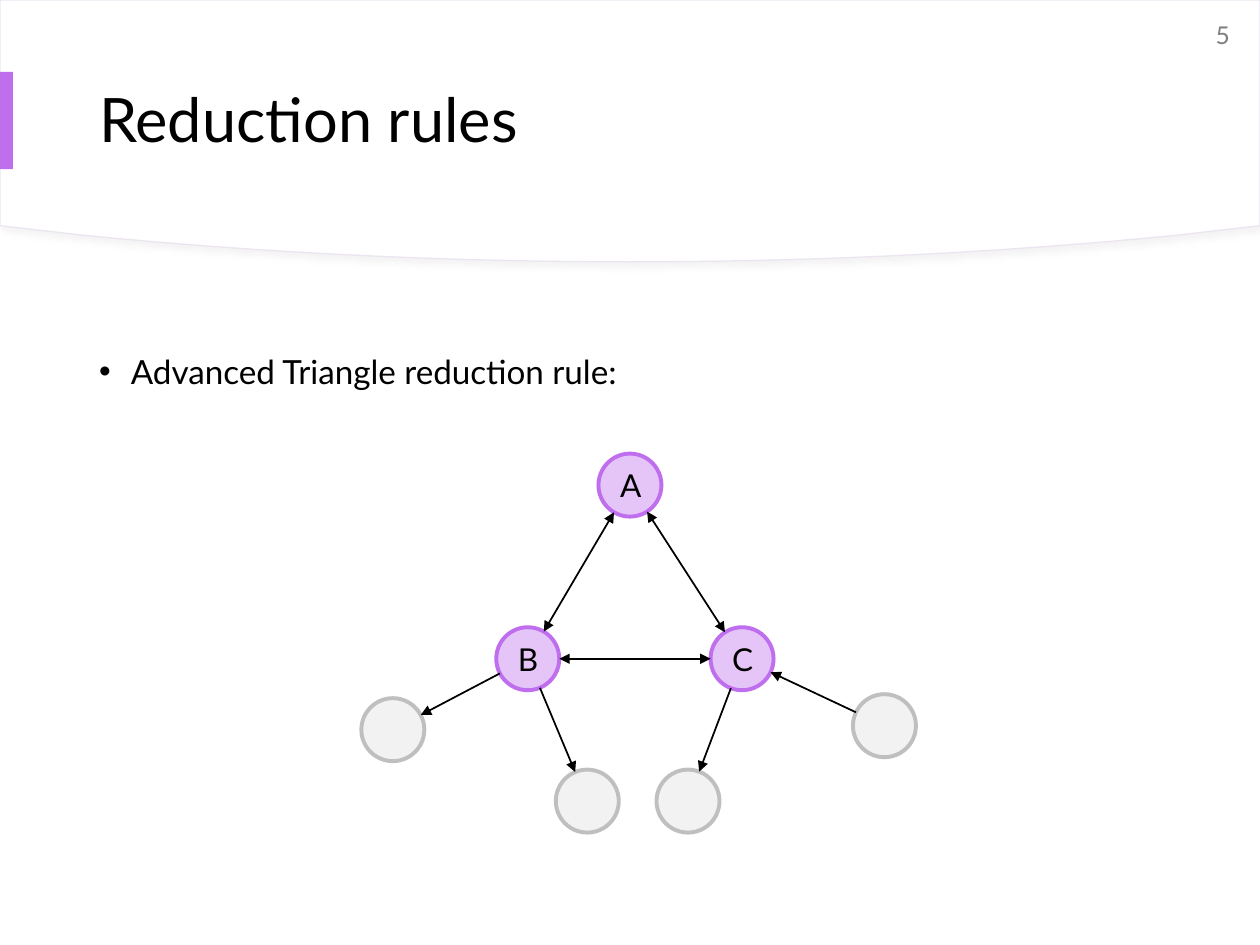
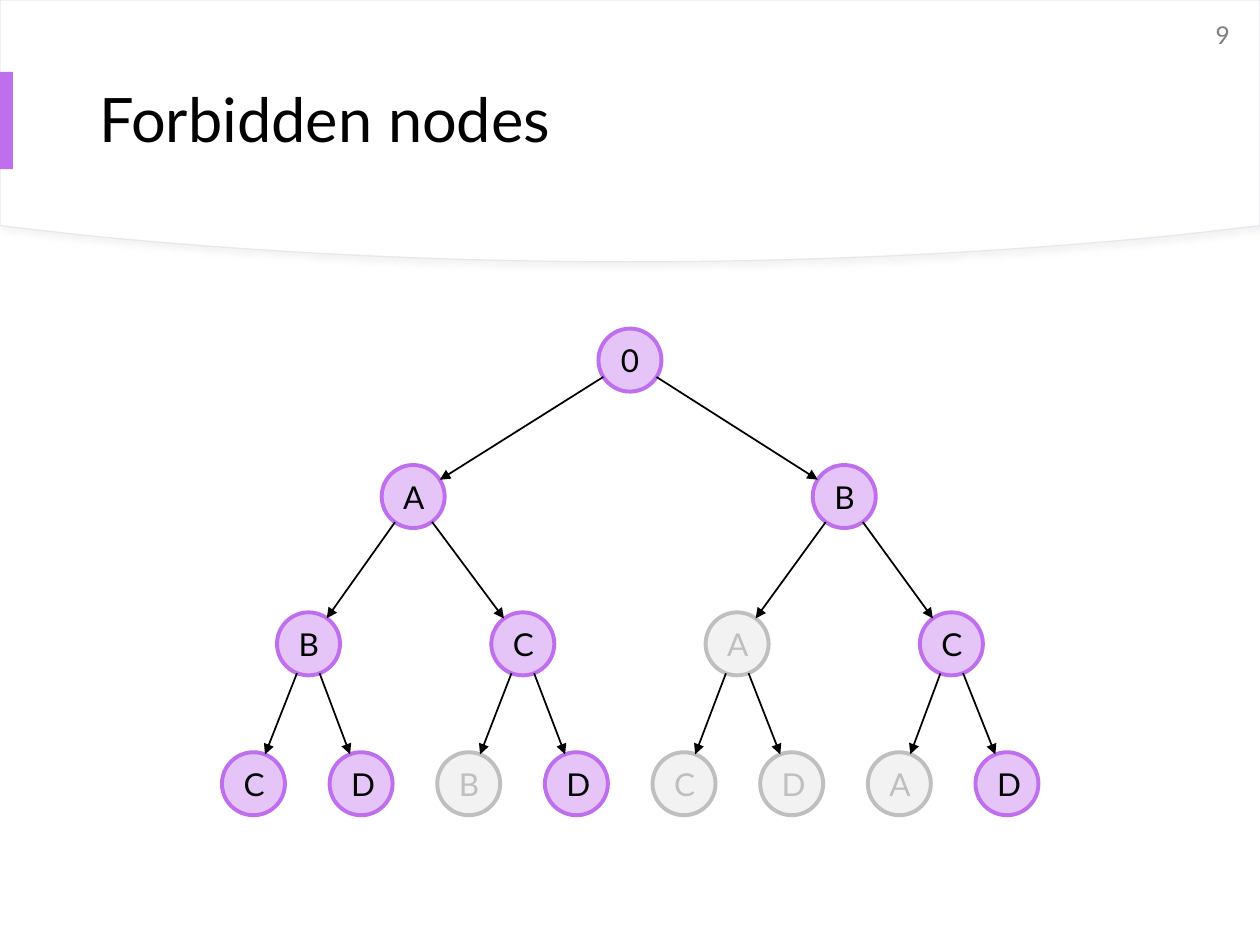
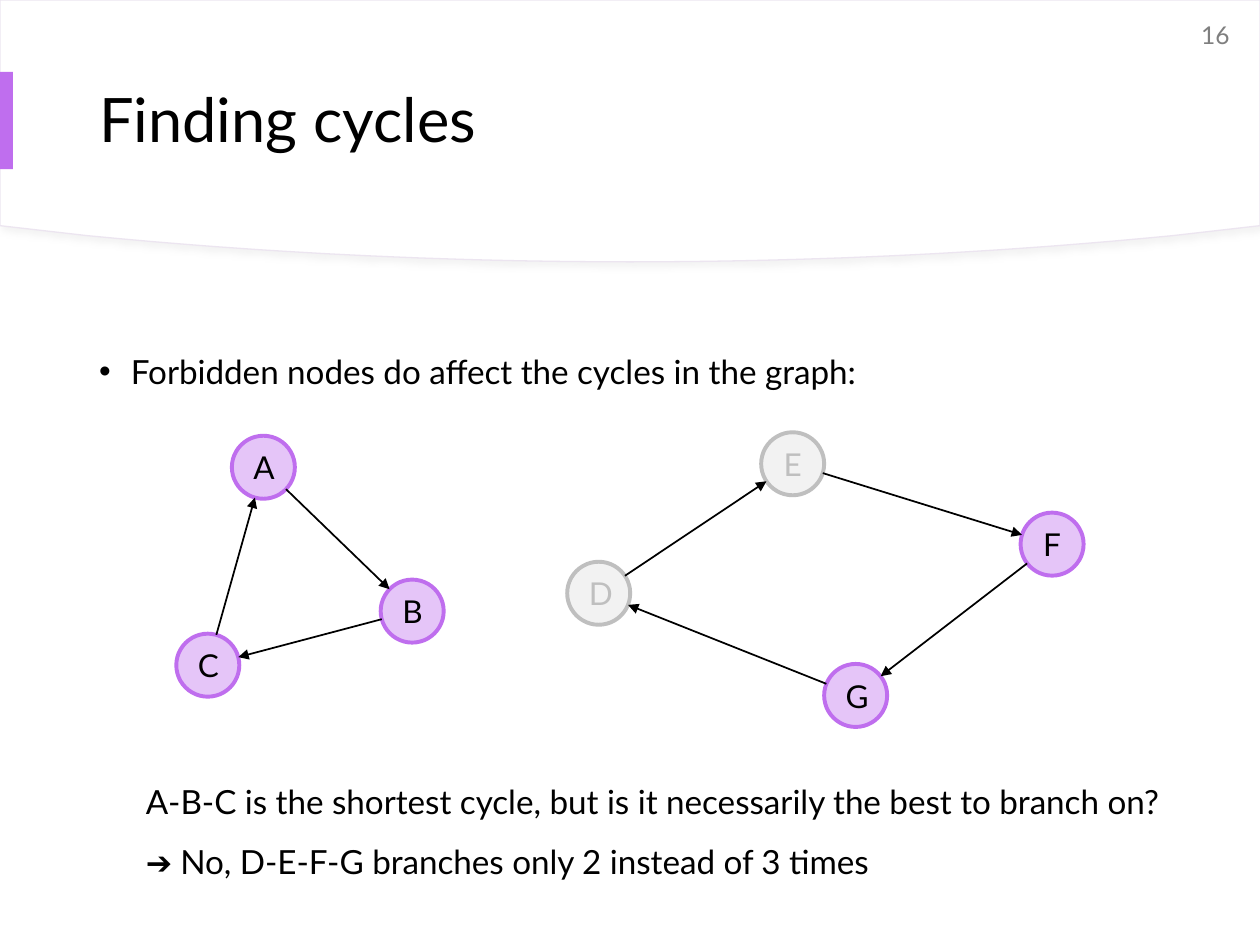
from dataclasses import dataclass
from math import hypot

from lxml import etree
from pptx import Presentation
from pptx.dml.color import RGBColor
from pptx.enum.shapes import MSO_CONNECTOR, MSO_SHAPE
from pptx.enum.text import MSO_ANCHOR, PP_ALIGN
from pptx.oxml.ns import qn
from pptx.util import Cm, Pt

ELLIPSE, RECTANGLE = MSO_SHAPE.OVAL, MSO_SHAPE.RECTANGLE
STRAIGHT = MSO_CONNECTOR.STRAIGHT
TOP, MIDDLE = MSO_ANCHOR.TOP, MSO_ANCHOR.MIDDLE
LEFT, CENTER, RIGHT = PP_ALIGN.LEFT, PP_ALIGN.CENTER, PP_ALIGN.RIGHT


@dataclass(frozen=True)
class Theme:
    """Colours, type sizes and measures shared by all slides."""
    font: str = "Lato"
    text: str = "000000"
    accent: str = "BF6EEE"
    accent_light: str = "E5C5F8"
    muted: str = "BFBFBF"
    muted_light: str = "F2F2F2"
    number: str = "7F7F7F"
    band: str = "FFFFFF"
    band_line: str = "ECE5F0"
    band_shadow: str = "D9D9D9"
    title_size: float = 35
    body_size: float = 19
    node_size: float = 18
    number_size: float = 14
    node_diameter: float = 1.27


THEME = Theme()


def rgb(value):
    """Return the colour for a hex value."""
    return RGBColor.from_string(value)


def style_text(frame, size, color=THEME.text, align=LEFT, anchor=TOP):
    """Format all text of a frame."""
    frame.word_wrap = True
    frame.vertical_anchor = anchor
    for para in frame.paragraphs:
        para.alignment = align
        for span in para.runs:
            span.font.name = THEME.font
            span.font.size = Pt(size)
            span.font.color.rgb = rgb(color)


def add_text(page, text, place, size, **style):
    """Add a text box and return its first paragraph."""
    box = page.shapes.add_textbox(*map(Cm, place))
    box.text_frame.text = text
    style_text(box.text_frame, size, **style)
    return box.text_frame.paragraphs[0]


def add_bullet(page, text):
    """Add the bulleted statement below the band."""
    para = add_text(page, text, (1.75, 6.88, 21.9, 10.26), THEME.body_size)
    para.line_spacing = 1.1
    para.space_before = Pt(10)
    properties = para._p.get_or_add_pPr()
    properties.set("marL", str(Cm(0.64)))
    properties.set("indent", str(-Cm(0.64)))
    etree.SubElement(properties, qn("a:buFont"), typeface="Arial")
    etree.SubElement(properties, qn("a:buChar"), char="•")


def paint(shape, fill, line=None, width=0.75):
    """Give a shape its fill and outline, without a shadow."""
    shape.fill.solid()
    shape.fill.fore_color.rgb = rgb(fill)
    if line:
        shape.line.color.rgb = rgb(line)
        shape.line.width = Pt(width)
    else:
        shape.line.fill.background()
    shape.shadow.inherit = False


def cubic(start, first, second, end, steps=24):
    """Return points along a cubic curve, after its start."""
    points = []
    for step in range(1, steps + 1):
        t = step / steps
        weights = ((1 - t) ** 3, 3 * t * (1 - t) ** 2, 3 * t * t * (1 - t), t ** 3)
        points.append(tuple(sum(w * p[axis] for w, p in zip(weights, (start, first, second, end)))
                            for axis in (0, 1)))
    return points


def add_band(page):
    """Draw the curved title band with its soft shadow."""
    width = 25.4
    shoulder = (23.65, 4.75)
    right = [(width, 0), (width, 4.55), shoulder]
    right += cubic(shoulder, (20.29, 5.08), (16.59, 5.28), (width / 2, 5.28))
    left = [(width - x, y) for x, y in reversed(right[:-1])]
    builder = page.shapes.build_freeform(0, 0)
    builder.add_line_segments([(Cm(x), Cm(y)) for x, y in right + left])
    band = builder.convert_to_shape()
    paint(band, THEME.band, THEME.band_line)
    effects = band.element.spPr.find(qn("a:effectLst"))
    shadow = etree.SubElement(effects, qn("a:outerShdw"), blurRad=str(Pt(4)), dist=str(Pt(3)),
                              dir="2700000", algn="tl", rotWithShape="0")
    color = etree.SubElement(shadow, qn("a:srgbClr"), val=THEME.band_shadow)
    etree.SubElement(color, qn("a:alpha"), val="30000")


def add_page(deck, title, number):
    """Add a slide with band, title, accent bar and number."""
    page = deck.slides.add_slide(deck.slide_layouts[6])
    add_band(page)
    heading = add_text(page, title, (1.75, 0.71, 21.9, 3.53), THEME.title_size, anchor=MIDDLE)
    heading.line_spacing = 0.9
    bar = page.shapes.add_shape(RECTANGLE, 0, Cm(1.45), Cm(0.26), Cm(1.96))
    paint(bar, THEME.accent)
    add_text(page, str(number), (23.44, 0.28, 1.6, 0.86), THEME.number_size,
             color=THEME.number, align=RIGHT)
    return page


def add_node(page, center, label="", forbidden=False):
    """Draw a graph node around its centre."""
    x, y = center
    size = THEME.node_diameter
    node = page.shapes.add_shape(ELLIPSE, Cm(x - size / 2), Cm(y - size / 2), Cm(size), Cm(size))
    if forbidden:
        paint(node, THEME.muted_light, THEME.muted, 2.25)
    else:
        paint(node, THEME.accent_light, THEME.accent, 2.25)
    if label:
        node.text_frame.text = label
        style_text(node.text_frame, THEME.node_size, THEME.muted if forbidden else THEME.text,
                   CENTER, MIDDLE)


def add_edge(page, start, end, both_ways=False):
    """Draw an arrow between the rims of two nodes."""
    (x1, y1), (x2, y2) = start, end
    share = THEME.node_diameter / 2 / hypot(x2 - x1, y2 - y1)
    dx, dy = (x2 - x1) * share, (y2 - y1) * share
    edge = page.shapes.add_connector(STRAIGHT, Cm(x1 + dx), Cm(y1 + dy), Cm(x2 - dx), Cm(y2 - dy))
    edge.line.color.rgb = rgb(THEME.text)
    edge.line.width = Pt(1)
    properties = edge.element.spPr
    line = properties.find(qn("a:ln"))
    for tip in ("a:headEnd", "a:tailEnd") if both_ways else ("a:tailEnd",):
        etree.SubElement(line, qn(tip), type="triangle")
    etree.SubElement(properties, qn("a:effectLst"))


def add_triangle_page(deck):
    """Show the triangle reduction rule."""
    page = add_page(deck, "Reduction rules", 5)
    add_bullet(page, "Advanced Triangle reduction rule:")
    corners = {"A": (12.7, 9.78), "B": (10.64, 13.28), "C": (14.96, 13.28)}
    west, south_west, south_east, east = neighbours = [
        (7.92, 14.71), (11.84, 16.15), (13.87, 16.15), (17.83, 14.63)]
    for label, center in corners.items():
        add_node(page, center, label)
    for center in neighbours:
        add_node(page, center, forbidden=True)
    for start, end in ("AB", "AC", "CB"):
        add_edge(page, corners[start], corners[end], both_ways=True)
    for start, end in ((corners["B"], west), (corners["B"], south_west),
                       (corners["C"], south_east), (east, corners["C"])):
        add_edge(page, start, end)


def add_tree_page(deck):
    """Show the branching tree with its forbidden nodes."""
    page = add_page(deck, "Forbidden nodes", 9)
    levels = [
        (7.26, 12.7, 0, "0", ()),
        (10.01, 8.33, 8.69, "AB", ()),
        (12.98, 6.22, 4.32, "BCAC", (2,)),
        (15.8, 5.11, 2.17, "CDBDCDAD", (2, 4, 5, 6)),
    ]
    parents = []
    for y, first, step, labels, forbidden in levels:
        centers = [(first + step * index, y) for index in range(len(labels))]
        for index, center in enumerate(centers):
            add_node(page, center, labels[index], index in forbidden)
            if parents:
                add_edge(page, parents[index // 2], center)
        parents = centers


def add_cycles_page(deck):
    """Compare two cycles, one with forbidden nodes."""
    page = add_page(deck, "Finding cycles", 16)
    add_bullet(page, "Forbidden nodes do affect the cycles in the graph:")
    nodes = {"A": (5.31, 9.42), "B": (8.31, 12.32), "C": (4.19, 13.41), "D": (12.07, 11.96),
             "E": (15.98, 9.35), "F": (21.21, 10.97), "G": (17.25, 14.02)}
    for label, center in nodes.items():
        add_node(page, center, label, label in "DE")
    for cycle in ("ABC", "DEFG"):
        for start, end in zip(cycle, cycle[1:] + cycle[0]):
            add_edge(page, nodes[start], nodes[end])
    add_text(page, "A-B-C is the shortest cycle, but is it necessarily the best to branch on?",
             (2.69, 15.62, 22.17, 1.07), THEME.body_size)
    answer = add_text(page, "➔ ", (2.69, 16.84, 19.28, 1.07), THEME.node_size)
    span = answer.add_run()
    span.text = "No, D-E-F-G branches only 2 instead of 3 times"
    span.font.name = THEME.font
    span.font.size = Pt(THEME.body_size)
    span.font.color.rgb = rgb(THEME.text)


def main():
    """Build the three slides and save the deck."""
    deck = Presentation()
    deck.slide_width, deck.slide_height = Cm(25.4), Cm(19.05)
    add_triangle_page(deck)
    add_tree_page(deck)
    add_cycles_page(deck)
    deck.save("out.pptx")


if __name__ == "__main__":
    main()
